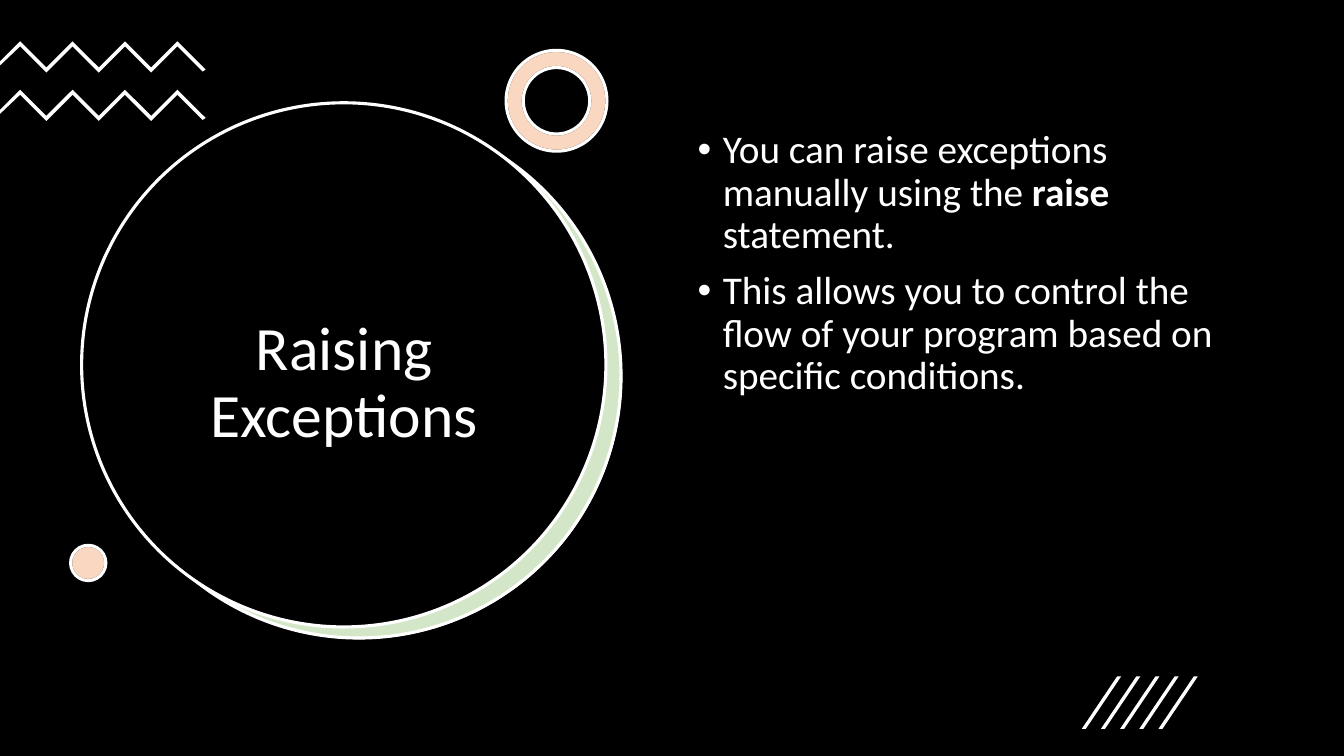
from pptx import Presentation
from pptx.dml.color import RGBColor
from pptx.enum.shapes import MSO_SHAPE
from pptx.enum.text import MSO_ANCHOR, PP_ALIGN
from pptx.oxml.ns import qn
from pptx.util import Inches, Pt
from lxml.etree import SubElement

BLACK, WHITE = "000000", "FFFFFF"
GREEN, ORANGE = "70AD47", "ED7D31"
FONT = "Calibri"


def color(value):
    return RGBColor.from_string(value)


def paint(shape, fill, line=None, opacity=100):
    """Fill and outline a shape; opacity is a percentage."""
    shape.shadow.inherit = False
    shape.fill.solid()
    shape.fill.fore_color.rgb = color(fill)
    if opacity < 100:
        fill_color = shape.fill._xPr.find(qn("a:solidFill"))[0]
        SubElement(fill_color, qn("a:alpha"), val=str(opacity * 1000))
    if line:
        shape.line.color.rgb = color(line)
        shape.line.width = Pt(2.25)
    else:
        shape.line.fill.background()


def add_preset(page, kind, left, top, width, height, fill, line=None, opacity=100):
    shape = page.shapes.add_shape(
        kind, Inches(left), Inches(top), Inches(width), Inches(height))
    paint(shape, fill, line, opacity)
    return shape


def add_circle(page, left, top, size, fill, line=None, opacity=100):
    add_preset(page, MSO_SHAPE.OVAL, left, top, size, size, fill, line, opacity)


def add_ring(page, left, top, size, fill, line, opacity=100):
    ring = add_preset(page, MSO_SHAPE.DONUT, left, top, size, size, fill, line, opacity)
    ring.adjustments[0] = 0.17


def add_polygon(page, points):
    corners = [(Inches(x), Inches(y)) for x, y in points]
    builder = page.shapes.build_freeform(*corners[0])
    builder.add_line_segments(corners[1:], close=True)
    paint(builder.convert_to_shape(), WHITE)


def add_zigzag(page, top):
    step, thickness = 0.26, 0.05
    upper = [(0.2 + step * i, top + step * (i % 2)) for i in range(7)]
    lower = [(x, y + thickness) for x, y in reversed(upper)]
    right_end = [(2.04, top + 0.28), (2.01, top + 0.3)]
    left_end = [(0, top + 0.24), (0, top + 0.2)]
    add_polygon(page, upper + right_end + lower + left_end)


def add_slash(page, left, top=6.71, bottom=7.23):
    add_polygon(page, [(left + 0.04, bottom), (left, bottom),
                       (left + 0.35, top), (left + 0.39, top)])


def add_text(page, left, top, width, height, anchor):
    box = page.shapes.add_textbox(
        Inches(left), Inches(top), Inches(width), Inches(height))
    box.text_frame.word_wrap = True
    box.text_frame.vertical_anchor = anchor
    return box.text_frame


def style_paragraph(para, size):
    para.line_spacing = 0.9
    para.font.name = FONT
    para.font.size = Pt(size)
    para.font.color.rgb = color(WHITE)


def add_title(page, text):
    frame = add_text(page, 1.21, 2.05, 4.41, 3.52, MSO_ANCHOR.MIDDLE)
    para = frame.paragraphs[0]
    para.text = text
    para.alignment = PP_ALIGN.CENTER
    style_paragraph(para, 44)


def add_bullets(page, items):
    """Each item is a list of (text, bold) spans."""
    frame = add_text(page, 6.82, 1.24, 5.71, 4.76, MSO_ANCHOR.TOP)
    for index, spans in enumerate(items):
        para = frame.add_paragraph() if index else frame.paragraphs[0]
        style_paragraph(para, 28)
        para.space_before = Pt(10)
        properties = para._p.get_or_add_pPr()
        properties.set("marL", str(Inches(0.25)))
        properties.set("indent", str(Inches(-0.25)))
        font = properties.find(qn("a:defRPr"))
        bullet_font = SubElement(properties, qn("a:buFont"), typeface="Arial")
        bullet = SubElement(properties, qn("a:buChar"), char="•")
        font.addprevious(bullet_font)
        font.addprevious(bullet)
        for text, bold in spans:
            span = para.add_run()
            span.text = text
            if bold:
                span.font.bold = True


def main():
    deck = Presentation()
    deck.slide_width, deck.slide_height = Inches(13.33), Inches(7.5)
    page = deck.slides.add_slide(deck.slide_layouts[6])

    # Backdrop
    add_preset(page, MSO_SHAPE.RECTANGLE, 0, 0, 13.33, 7.5, BLACK)

    # Large circle with its green crescent
    add_circle(page, 0.97, 1.14, 5.2, WHITE)
    add_circle(page, 0.96, 1.13, 5.2, GREEN, WHITE, 30)
    add_circle(page, 0.81, 1.02, 5.2, BLACK, WHITE)
    add_title(page, "Raising Exceptions")

    # Zigzags at the top left
    for top in (0.41, 0.89):
        add_zigzag(page, top)

    # Ring and dot: a white base under a translucent tint
    for fill, line, opacity in ((WHITE, BLACK, 100), (ORANGE, WHITE, 30)):
        add_ring(page, 5.02, 0.5, 1, fill, line, opacity)
        add_circle(page, 0.7, 5.41, 0.35, fill, line, opacity)

    # Body text
    add_bullets(page, [
        [("You can raise exceptions manually using the ", False),
         ("raise", True), (" statement.", False)],
        [("This allows you to control the flow of your program based on "
          "specific conditions.", False)],
    ])

    # Slashes at the bottom right
    for index in range(5):
        add_slash(page, 10.73 + 0.19 * index)

    deck.save("out.pptx")


if __name__ == "__main__":
    main()
